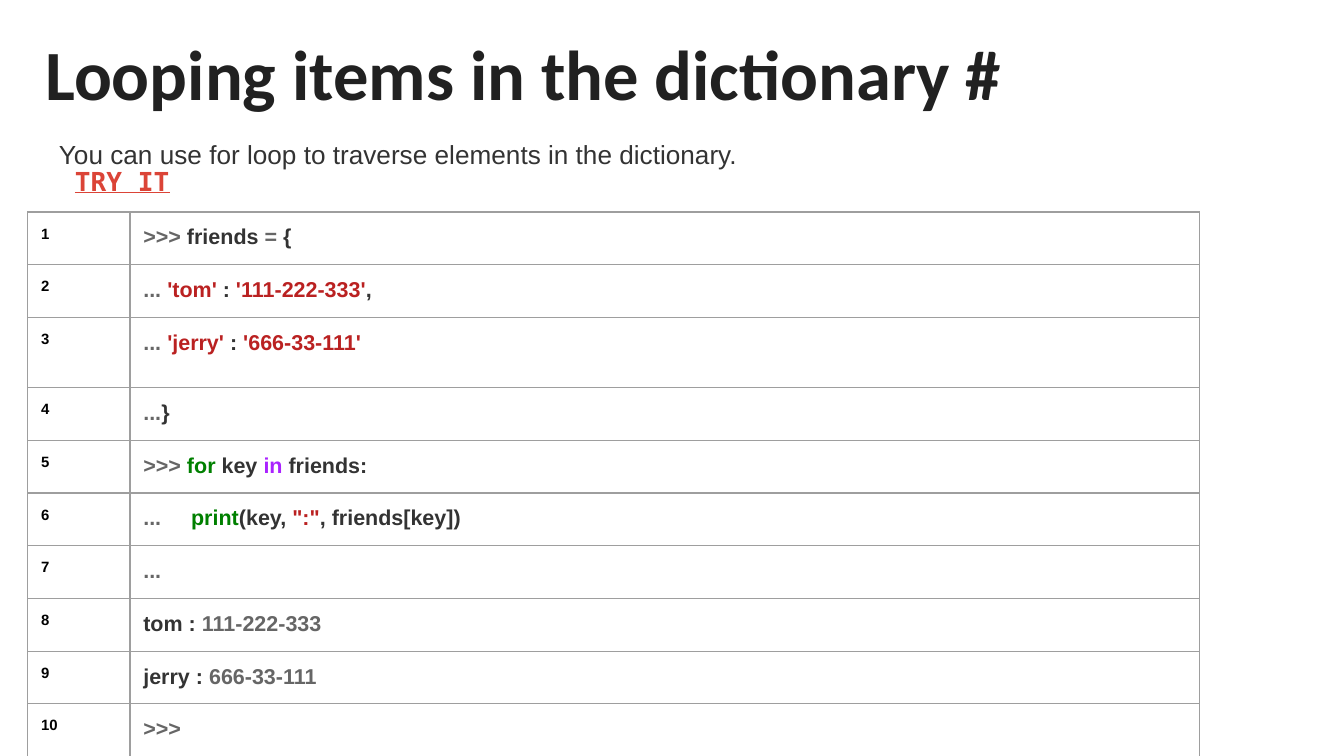
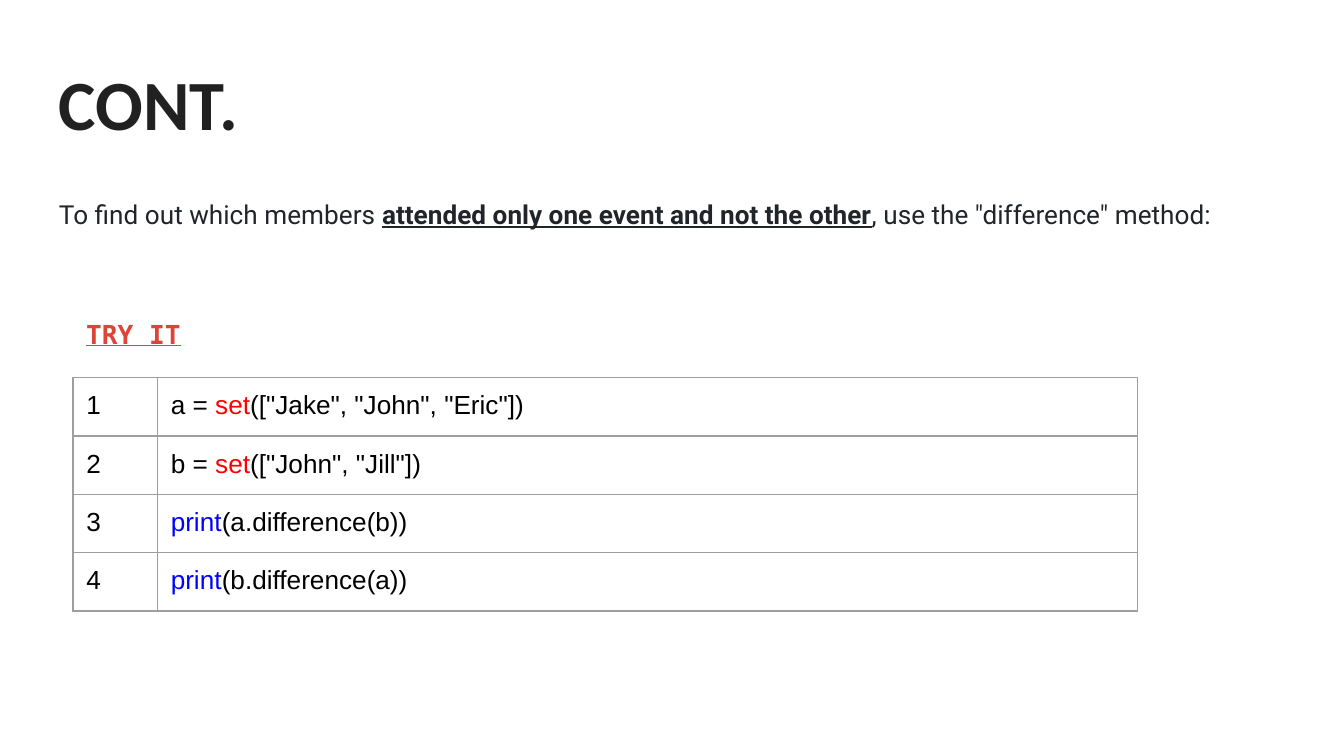
from lxml.etree import SubElement
from pptx import Presentation
from pptx.dml.color import RGBColor
from pptx.enum.text import MSO_ANCHOR
from pptx.oxml.ns import qn
from pptx.util import Pt

COLORS = {
    "title": "212121", "body": "333333", "ink": "212529", "link": "DB4437",
    "border": "9E9E9E", "black": "000000", "gray": "666666", "string": "BA2121",
    "green": "008000", "violet": "AA22FF", "red": "FF0000", "blue": "0000FF",
}
TITLE = {"name": "Calibri", "size": Pt(37.8), "bold": True, "color": "title"}
LINK = {"name": "DejaVu Sans Mono", "size": Pt(14), "bold": True, "underline": True, "color": "link"}
INTRO = {"name": "Arial", "size": Pt(14), "color": "body"}
INTRO_ROBOTO = {"name": "Roboto", "size": Pt(14), "color": "ink"}
EMPHASIS = {"bold": True, "underline": True}
SMALL_CODE = {"name": "Arial", "size": Pt(11.5), "bold": True, "color": "body"}
SMALL_NUMBER = {**SMALL_CODE, "size": Pt(8), "color": "black"}
LARGE_CODE = {"name": "Arial", "size": Pt(14), "color": "black"}
INSET = Pt(7.2)
MARGINS = {f"margin_{side}": INSET for side in ("left", "top", "right", "bottom")}

LOOP_CODE = [
    [(">>>", "gray"), " friends ", ("=", "gray"), " {"],
    [("... ", "gray"), ("'tom'", "string"), " : ", ("'111-222-333'", "string"), ","],
    [("... ", "gray"), ("'jerry'", "string"), " : ", ("'666-33-111'", "string")],
    [("...", "gray"), "}"],
    [(">>> ", "gray"), ("for", "green"), " key ", ("in", "violet"), " friends:"],
    [("...     ", "gray"), ("print", "green"), "(key, ", ('":"', "string"), ", friends[key])"],
    [("...", "gray")],
    ["tom : ", ("111-222-333", "gray")],
    ["jerry : ", ("666-33-111", "gray")],
    [(">>>", "gray")],
]
SET_CODE = [
    ["a = ", ("set", "red"), '(["Jake", "John", "Eric"])'],
    ["b = ", ("set", "red"), '(["John", "Jill"])'],
    [("print", "blue"), "(a.difference(b))"],
    [("print", "blue"), "(b.difference(a))"],
]


class Deck:
    """Holds the shared style and the current slide."""

    def __init__(self):
        self.presentation = Presentation()
        self.presentation.slide_width = Pt(720)
        self.presentation.slide_height = Pt(405)
        self.slide = None

    def add_slide(self):
        self.slide = self.presentation.slides.add_slide(self.presentation.slide_layouts[6])

    def apply(self, target, values):
        for name, value in values.items():
            if name == "color":
                target.color.rgb = RGBColor.from_string(COLORS[value])
            else:
                setattr(target, name, value)

    def add_runs(self, paragraph, pieces, style):
        for piece in pieces:
            text, change = (piece, {}) if isinstance(piece, str) else piece
            if isinstance(change, str):
                change = {"color": change}
            run = paragraph.add_run()
            run.text = text
            self.apply(run.font, {**style, **change})

    def text(self, left, top, width, height, pieces, style, anchor=MSO_ANCHOR.TOP, spacing=1.0):
        shape = self.slide.shapes.add_textbox(Pt(left), Pt(top), Pt(width), Pt(height))
        frame = shape.text_frame
        self.apply(frame, {**MARGINS, "word_wrap": True, "vertical_anchor": anchor})
        paragraph = frame.paragraphs[0]
        paragraph.line_spacing = spacing
        self.add_runs(paragraph, pieces, style)

    def title(self, left, top, words):
        self.text(left, top, 671, 63.4, [words], TITLE, MSO_ANCHOR.MIDDLE)

    def intro(self, top, height, pieces, style):
        self.text(24.5, top, 671, height, pieces, style, spacing=1.15)

    def try_it(self, left, top):
        self.text(left, top, 236, 31.7, ["TRY IT"], LINK)

    def borders(self, cell):
        properties = cell._tc.get_or_add_tcPr()
        for position, side in enumerate(("a:lnL", "a:lnR", "a:lnT", "a:lnB")):
            line = SubElement(properties, qn(side), w=str(Pt(0.75)))
            fill = SubElement(line, qn("a:solidFill"))
            SubElement(fill, qn("a:srgbClr"), val=COLORS["border"])
            properties.insert(position, line)

    def code_table(self, left, top, widths, heights, lines, number_style, code_style):
        shape = self.slide.shapes.add_table(
            len(lines), 2, Pt(left), Pt(top), Pt(sum(widths)), Pt(sum(heights)))
        table = shape.table
        self.apply(table, {"first_row": False, "horz_banding": False})
        for column, width in zip(table.columns, widths):
            column.width = Pt(width)
        for number, (row, height, line) in enumerate(zip(table.rows, heights, lines), 1):
            row.height = Pt(height)
            contents = ([str(number)], number_style), (line, code_style)
            for cell, (pieces, style) in zip(row.cells, contents):
                self.apply(cell, MARGINS)
                cell.fill.background()
                self.borders(cell)
                self.add_runs(cell.text_frame.paragraphs[0], pieces, style)


def main():
    deck = Deck()

    deck.add_slide()
    deck.title(17.2, 7.2, "Looping items in the dictionary #")
    deck.intro(64.2, 36, ["You can use for loop to traverse elements in the dictionary."], INTRO)
    deck.try_it(33.1, 81.4)
    heights = [28.2] * len(LOOP_CODE)
    heights[2] = 37.6
    deck.code_table(14.8, 113.6, (54.8, 573), heights, LOOP_CODE, SMALL_NUMBER, SMALL_CODE)

    deck.add_slide()
    deck.title(24.5, 23, "CONT.")
    deck.intro(96.5, 46.8, [
        "To find out which members ",
        ("attended only one event and not the other", EMPHASIS),
        ', use the "difference" method:',
    ], INTRO_ROBOTO)
    deck.code_table(39.1, 202.4, (45.2, 525), [30] * len(SET_CODE), SET_CODE, LARGE_CODE, LARGE_CODE)
    deck.try_it(39.1, 163.4)

    deck.presentation.save("out.pptx")


if __name__ == "__main__":
    main()
